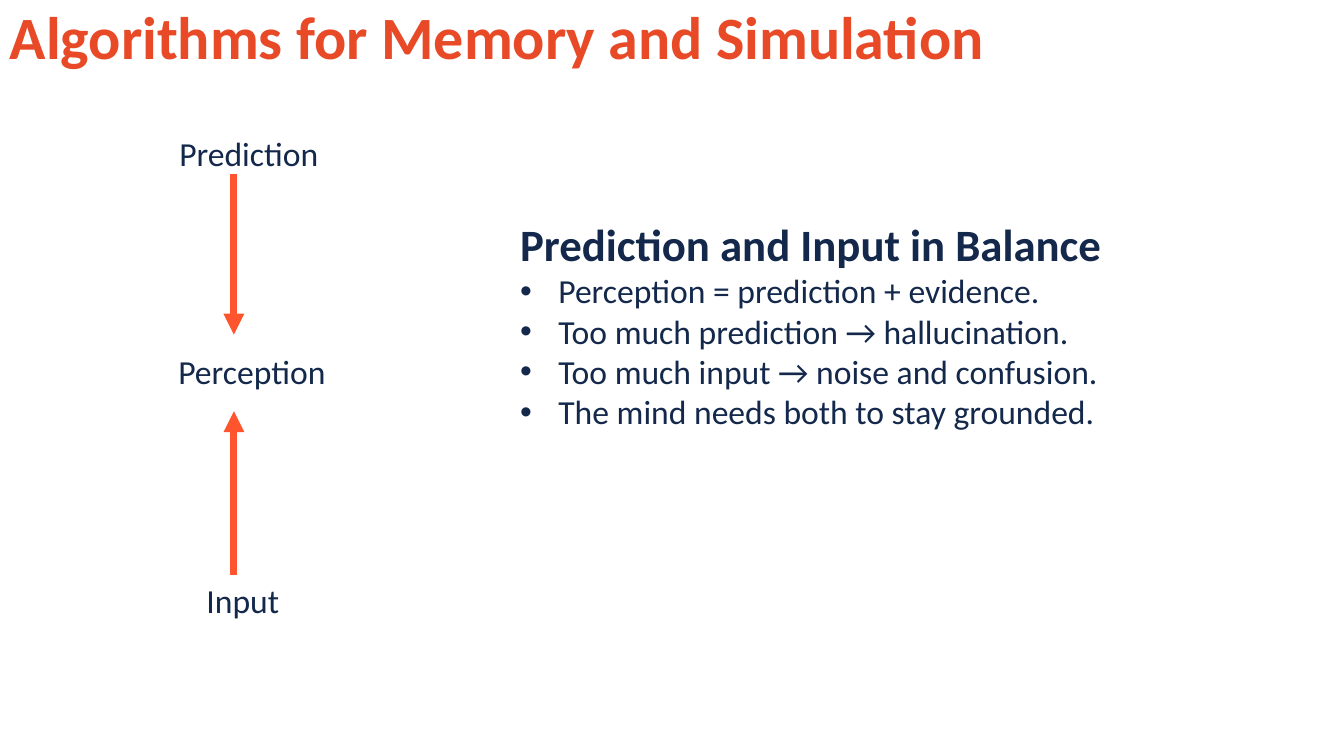
from lxml.etree import SubElement
from pptx import Presentation
from pptx.dml.color import RGBColor
from pptx.enum.shapes import MSO_CONNECTOR
from pptx.enum.text import MSO_ANCHOR, MSO_AUTO_SIZE
from pptx.oxml.ns import qn
from pptx.util import Inches, Pt

FONT = "Calibri"
TITLE_COLOUR = "E84A27"
TEXT_COLOUR = "13284B"
ARROW_COLOUR = "FF552E"
AXIS_X = 2.32
BULLET_INDENT = 0.38


def colour(hex_string):
    """Return the colour for a hex string."""
    return RGBColor.from_string(hex_string)


def add_text_frame(slide, left, top, width, height, wrap=True):
    """Add a text box and return its text frame."""
    frame = slide.shapes.add_textbox(
        Inches(left), Inches(top), Inches(width), Inches(height)).text_frame
    frame.word_wrap = wrap
    return frame


def write(paragraph, text, size, hex_string=TEXT_COLOUR, bold=False):
    """Put formatted text in a paragraph."""
    paragraph.text = text
    for run in paragraph.runs:
        run.font.name = FONT
        run.font.size = Pt(size)
        run.font.bold = bold
        run.font.color.rgb = colour(hex_string)


def add_bullet(paragraph):
    """Give a paragraph a hanging bullet."""
    properties = paragraph._p.get_or_add_pPr()
    properties.set("marL", str(Inches(BULLET_INDENT)))
    properties.set("indent", str(-Inches(BULLET_INDENT)))
    SubElement(properties, qn("a:buFont"), typeface="Arial")
    SubElement(properties, qn("a:buChar"), char="•")


def add_title(slide, text):
    """Add the slide title."""
    frame = add_text_frame(slide, 0, 0, 12.56, 0.8)
    frame.vertical_anchor = MSO_ANCHOR.MIDDLE
    title = frame.paragraphs[0]
    title.line_spacing = 0.9
    write(title, text, 42.9, TITLE_COLOUR, bold=True)


def add_summary(slide, heading, points):
    """Add a heading with bulleted points below it."""
    frame = add_text_frame(slide, 5.06, 2.1, 6.34, 2.66)
    frame.auto_size = MSO_AUTO_SIZE.SHAPE_TO_FIT_TEXT
    write(frame.paragraphs[0], heading, 32, bold=True)
    for point in points:
        paragraph = frame.add_paragraph()
        add_bullet(paragraph)
        write(paragraph, point, 24)


def add_stage(slide, text, left, top, width):
    """Add the label of one stage in the diagram."""
    frame = add_text_frame(slide, left, top, width, 0.5, wrap=False)
    frame.auto_size = MSO_AUTO_SIZE.SHAPE_TO_FIT_TEXT
    write(frame.paragraphs[0], text, 24)


def add_arrow(slide, start_y, end_y):
    """Add a vertical arrow on the diagram axis."""
    arrow = slide.shapes.add_connector(
        MSO_CONNECTOR.STRAIGHT,
        Inches(AXIS_X), Inches(start_y), Inches(AXIS_X), Inches(end_y))
    arrow.line.color.rgb = colour(ARROW_COLOUR)
    arrow.line.width = Pt(5)
    SubElement(arrow.line._get_or_add_ln(), qn("a:tailEnd"), type="triangle")
    SubElement(arrow._element.spPr, qn("a:effectLst"))


def main():
    """Build the slide and save it."""
    presentation = Presentation()
    presentation.slide_width = Inches(13.33)
    presentation.slide_height = Inches(7.5)
    slide = presentation.slides.add_slide(presentation.slide_layouts[6])

    add_title(slide, "Algorithms for Memory and Simulation")
    add_summary(slide, "Prediction and Input in Balance", [
        "Perception = prediction + evidence.",
        "Too much prediction → hallucination.",
        "Too much input → noise and confusion.",
        "The mind needs both to stay grounded.",
    ])
    for text, left, top, width in [
        ("Prediction", 1.68, 1.27, 1.6),
        ("Perception", 1.67, 3.43, 1.68),
        ("Input", 1.95, 5.7, 0.93),
    ]:
        add_stage(slide, text, left, top, width)
    for start_y, end_y in [(1.73, 3.32), (5.7, 4.08)]:
        add_arrow(slide, start_y, end_y)

    presentation.save("out.pptx")


if __name__ == "__main__":
    main()
